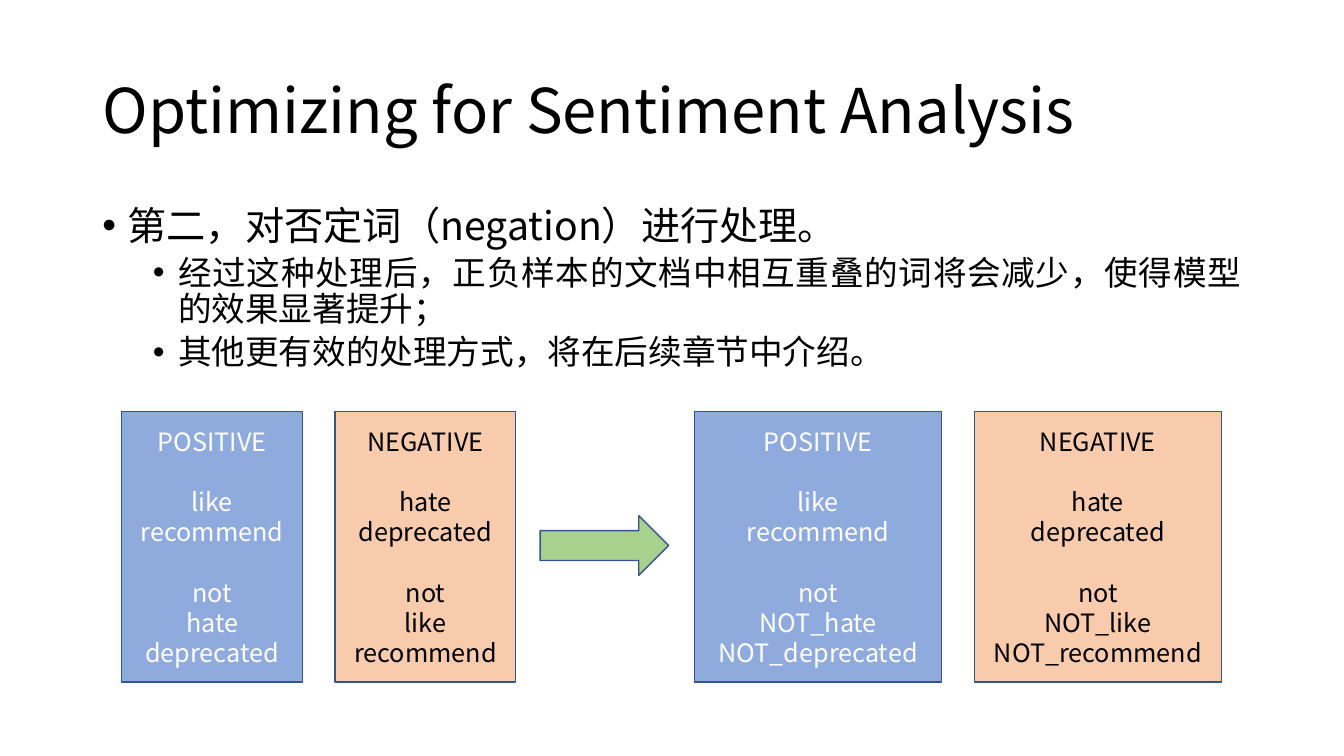
from dataclasses import dataclass

from lxml import etree
from pptx import Presentation
from pptx import util as u
from pptx.dml import color
from pptx.enum import shapes, text
from pptx.oxml import ns

FONT = "Noto Sans CJK SC"
CELL = u.Inches(1 / 12)
COLUMNS, ROWS = 160, 90
BOX_TOP, BOX_HEIGHT, BOX_GAP = 49, 32.2, 3.9
WORD_GAP = 21.5
OUTLINE, GREEN = "325491", "A9D18E"
BLACK, WHITE = "000000", "FFFFFF"


@dataclass(frozen=True)
class Area:
    left: float
    top: float
    width: float
    height: float

    def lengths(self) -> list[int]:
        return [round(cells * CELL) for cells in (self.left, self.top, self.width, self.height)]


@dataclass(frozen=True)
class Bullet:
    words: str
    level: int
    size: int
    margin: float
    space_before: int


@dataclass(frozen=True)
class Sentiment:
    label: str
    fill: str
    ink: str


@dataclass(frozen=True)
class Stage:
    left: float
    width: float
    words: tuple[tuple[str, ...], tuple[str, ...]]


SENTIMENTS = (Sentiment("POSITIVE", "8FAADC", WHITE), Sentiment("NEGATIVE", "F8CBAD", BLACK))
STAGES = (
    Stage(14.5, 21.5, (
        ("like", "recommend", "not", "hate", "deprecated"),
        ("hate", "deprecated", "not", "like", "recommend"),
    )),
    Stage(82.7, 29.4, (
        ("like", "recommend", "not", "NOT_hate", "NOT_deprecated"),
        ("hate", "deprecated", "not", "NOT_like", "NOT_recommend"),
    )),
)
BULLETS = (
    Bullet("第二，对否定词（negation）进行处理。", 0, 28, 0.25, 10),
    Bullet("经过这种处理后，正负样本的文档中相互重叠的词将会减少，使得模型的效果显著提升；", 1, 24, 0.75, 5),
    Bullet("其他更有效的处理方式，将在后续章节中介绍。", 1, 24, 0.75, 5),
)


def rgb(value: str) -> color.RGBColor:
    return color.RGBColor.from_string(value)


def place(shape, area: Area) -> None:
    shape.left, shape.top, shape.width, shape.height = area.lengths()


def style_paragraph(paragraph, size: int, ink: str, alignment) -> None:
    paragraph.alignment = alignment
    font = paragraph.font
    font.size = u.Pt(size)
    font.name = FONT
    font.color.rgb = rgb(ink)
    properties = paragraph._p.get_or_add_pPr().find(ns.qn("a:defRPr"))
    etree.SubElement(properties, ns.qn("a:ea"), typeface=FONT)


def add_bullet(paragraph, bullet: Bullet) -> None:
    paragraph.text = bullet.words
    paragraph.level = bullet.level
    paragraph.line_spacing = 0.9
    paragraph.space_before = u.Pt(bullet.space_before)
    style_paragraph(paragraph, bullet.size, BLACK, text.PP_ALIGN.JUSTIFY)
    properties = paragraph._p.get_or_add_pPr()
    properties.set("marL", str(u.Inches(bullet.margin)))
    properties.set("indent", str(u.Inches(-0.25)))
    marker = etree.Element(ns.qn("a:buChar"), char="•")
    properties.find(ns.qn("a:defRPr")).addprevious(marker)


def add_filled_shape(slide, kind, area: Area, fill: str):
    shape = slide.shapes.add_shape(kind, *area.lengths())
    shape.shadow.inherit = False
    shape.fill.solid()
    shape.fill.fore_color.rgb = rgb(fill)
    shape.line.color.rgb = rgb(OUTLINE)
    shape.line.width = u.Pt(1)
    return shape


def add_word_box(slide, area: Area, sentiment: Sentiment, words: tuple[str, ...]) -> None:
    shape = add_filled_shape(slide, shapes.MSO_SHAPE.RECTANGLE, area, sentiment.fill)
    frame = shape.text_frame
    frame.word_wrap = True
    frame.vertical_anchor = text.MSO_ANCHOR.MIDDLE
    frame.text = "\n".join((sentiment.label, *words))
    for index, paragraph in enumerate(frame.paragraphs):
        style_paragraph(paragraph, 18, sentiment.ink, text.PP_ALIGN.CENTER)
        if index == 1 or paragraph.text == "not":
            paragraph.space_before = u.Pt(WORD_GAP)


def fill_title(title) -> None:
    place(title, Area(11, 4.8, 138, 17.4))
    frame = title.text_frame
    frame.text = "Optimizing for Sentiment Analysis"
    frame.auto_size = text.MSO_AUTO_SIZE.NONE
    frame.vertical_anchor = text.MSO_ANCHOR.MIDDLE
    frame.paragraphs[0].line_spacing = 0.9
    style_paragraph(frame.paragraphs[0], 44, BLACK, text.PP_ALIGN.LEFT)


def fill_body(body) -> None:
    place(body, Area(11, 24, 138, 57.1))
    frame = body.text_frame
    frame.auto_size = text.MSO_AUTO_SIZE.NONE
    for index, bullet in enumerate(BULLETS):
        add_bullet(frame.add_paragraph() if index else frame.paragraphs[0], bullet)


def main() -> None:
    presentation = Presentation()
    presentation.slide_width = COLUMNS * CELL
    presentation.slide_height = ROWS * CELL
    slide = presentation.slides.add_slide(presentation.slide_layouts[1])
    fill_title(slide.shapes.title)
    fill_body(slide.placeholders[1])
    for stage in STAGES:
        for index, (sentiment, words) in enumerate(zip(SENTIMENTS, stage.words)):
            left = stage.left + index * (stage.width + BOX_GAP)
            add_word_box(slide, Area(left, BOX_TOP, stage.width, BOX_HEIGHT), sentiment, words)
    add_filled_shape(slide, shapes.MSO_SHAPE.RIGHT_ARROW, Area(64.3, 61.4, 15.3, 7.1), GREEN)
    presentation.save("out.pptx")


if __name__ == "__main__":
    main()
